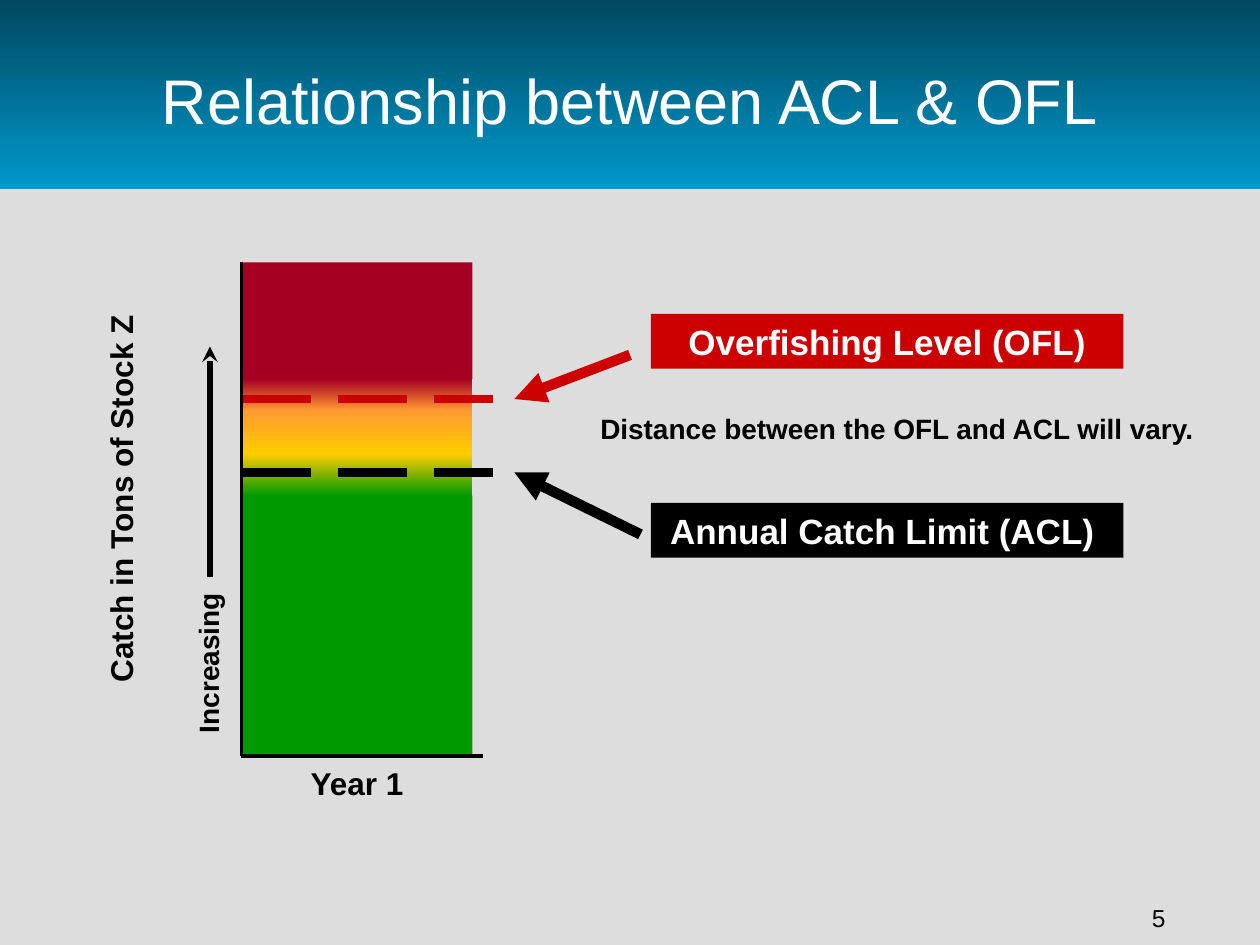
import pptx
import pptx.util
import pptx.dml.color
import pptx.enum.shapes
import pptx.enum.text
import pptx.enum.dml
import pptx.oxml
import pptx.oxml.ns
import lxml.etree

COLUMNS, ROWS = 120, 90
CELL = pptx.util.Inches(10) // COLUMNS
FONT = "Arial"
COLORS = {
    "page": "DDDDDD", "header_top": "00475F", "header_bottom": "0099CC",
    "crimson": "A50021", "orange": "FF9933", "yellow": "FFCC00",
    "green": "009900", "red": "CC0000", "black": "000000", "white": "FFFFFF",
}
ALIGN = pptx.enum.text.PP_ALIGN
ANCHOR = pptx.enum.text.MSO_ANCHOR
DASH = pptx.enum.dml.MSO_LINE.LONG_DASH


def color(name):
    return pptx.dml.color.RGBColor.from_string(COLORS[name])


def grid(*cells):
    return [round(cell * CELL) for cell in cells]


def add_box(shapes, place, *fills):
    box = shapes.add_shape(pptx.enum.shapes.MSO_SHAPE.RECTANGLE, *grid(*place))
    box.shadow.inherit = False
    box.line.fill.background()
    if len(fills) == 1:
        box.fill.solid()
        box.fill.fore_color.rgb = color(fills[0])
    else:
        box.fill.gradient()
        box.fill.gradient_angle = 270
        for stop, name in zip(box.fill.gradient_stops, fills):
            stop.color.rgb = color(name)
    return box


def write(box, text, size, ink="black", bold=True, align=ALIGN.CENTER,
          anchor=ANCHOR.TOP, grow=True):
    frame = box.text_frame
    frame.text = text
    frame.word_wrap = True
    frame.vertical_anchor = anchor
    if grow:
        frame.auto_size = pptx.enum.text.MSO_AUTO_SIZE.SHAPE_TO_FIT_TEXT
    para = frame.paragraphs[0]
    para.alignment = align
    for span in para.runs:
        span.font.name = FONT
        span.font.size = pptx.util.Pt(size)
        span.font.bold = bold
        span.font.color.rgb = color(ink)


def add_text(page, place, text, size, rotation=0, **style):
    box = page.shapes.add_textbox(*grid(*place))
    box.rotation = rotation
    write(box, text, size, **style)
    return box


def add_line(shapes, start, end, ink, width, dash=None, head=None):
    line = shapes.add_connector(
        pptx.enum.shapes.MSO_CONNECTOR.STRAIGHT, *grid(*start, *end))
    line.line.color.rgb = color(ink)
    line.line.width = pptx.util.Pt(width)
    if dash:
        line.line.dash_style = dash
    if head:
        outline = line.line._get_or_add_ln()
        lxml.etree.SubElement(outline, pptx.oxml.ns.qn("a:tailEnd"), type=head)
    lxml.etree.SubElement(
        line._element.spPr, pptx.oxml.ns.qn("a:effectLst"))


def add_header(page):
    add_box(page.shapes, (0, 18, COLUMNS, ROWS - 18), "page")
    add_box(page.shapes, (0, 0, COLUMNS, 18), "header_top", "header_bottom")
    add_text(page, (0, 2, COLUMNS, 15), "Relationship between ACL & OFL", 36,
             ink="white", bold=False, anchor=ANCHOR.MIDDLE, grow=False)
    number = add_text(page, (104, 86, 7, 4), "5", 14, bold=False,
                      align=ALIGN.RIGHT, grow=False)
    frame = number.text_frame
    frame.margin_left = frame.margin_right = 0
    frame.margin_top = frame.margin_bottom = 0


def add_catch_bar(page):
    left, width, top, base = 23, 22, 25, 72
    shapes = page.shapes.add_group_shape().shapes

    def add_band(start, end, *fills):
        add_box(shapes, (left, start, width, end - start), *fills)

    def add_limit(row, ink):
        add_line(shapes, (left, row), (left + 24, row), ink, 5, dash=DASH)

    add_band(top, 36.1, "crimson")
    add_band(43.2, 47.2, "yellow", "green")
    add_band(39, 43.2, "orange", "yellow")
    add_limit(45, "black")
    add_band(36.1, 39.1, "crimson", "orange")
    add_band(47.2, 71.8, "green")
    add_limit(38, "red")
    add_line(shapes, (left, top), (left, base), "black", 2.25)
    add_line(shapes, (left, base), (left + 23, base), "black", 2.25)


def add_axis_labels(page):
    add_text(page, (-11, 45.1, 45, 4.8), "Catch in Tons of Stock Z", 18,
             rotation=270)
    add_text(page, (10.8, 59.8, 18, 4.4), "Increasing", 16, rotation=270,
             align=ALIGN.LEFT, anchor=ANCHOR.MIDDLE)
    add_text(page, (22, 72.2, 24, 4.8), "Year 1", 18)
    add_line(page.shapes, (20, 55), (20, 33), "black", 3, head="stealth")


def add_callouts(page):
    callouts = [
        ("Annual Catch Limit (ACL) ", "black", 47.9, (61, 50.9), (49, 45)),
        ("Overfishing Level (OFL)", "red", 29.9, (60, 33.8), (49, 38)),
    ]
    for text, ink, row, start, end in callouts:
        box = add_box(page.shapes, (62, row, 45, 5.2), ink)
        write(box, text, 20, ink="white")
        add_line(page.shapes, start, end, ink, 6, head="triangle")
    add_text(page, (56, 38.6, 60, 4.4),
             "Distance between the OFL and ACL will vary.", 16,
             align=ALIGN.LEFT)


def main():
    deck = pptx.Presentation()
    deck.slide_width, deck.slide_height = grid(COLUMNS, ROWS)
    page = deck.slides.add_slide(deck.slide_layouts[6])
    add_header(page)
    add_catch_bar(page)
    add_axis_labels(page)
    add_callouts(page)
    deck.save("out.pptx")


if __name__ == "__main__":
    main()
